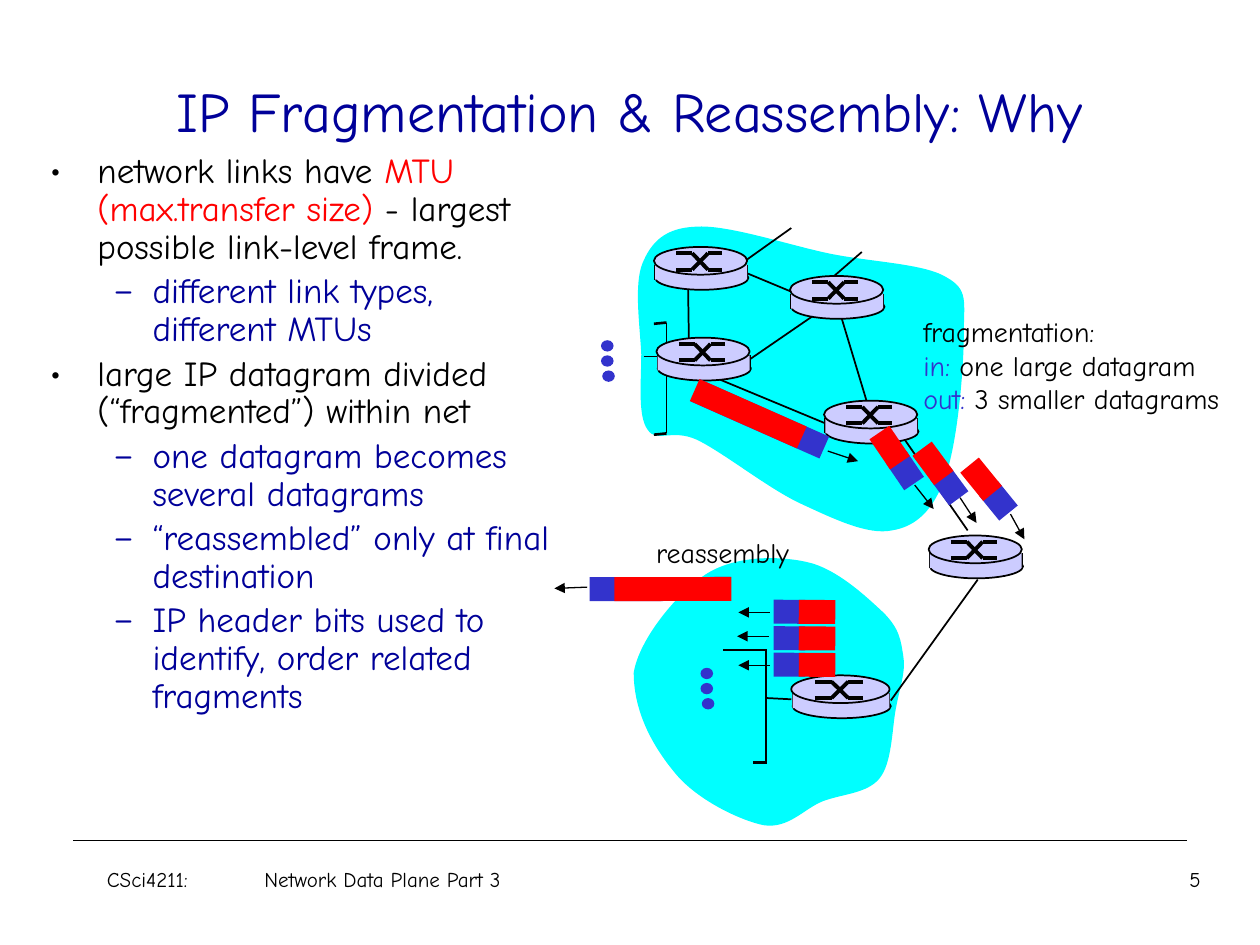
import math

from lxml import etree
from pptx import Presentation
from pptx import util as u
from pptx.dml.color import RGBColor
from pptx.enum import shapes, text
from pptx.oxml.ns import qn

BLACK, RED, NAVY, BLUE = "000000", "FF0000", "000099", "3333CC"
LILAC, CYAN = "CCCCFF", "00FFFF"
FONT = "Comic Neue"

UPPER_CLOUD = [
    (5.52, 1.8),
    (5.28, 1.81), (5.17, 1.92), (5.1, 2.09), (5.03, 2.26), (5.08, 2.59), (5.09, 2.81),
    (5.09, 3.03), (5.06, 3.3), (5.14, 3.41), (5.21, 3.52), (5.33, 3.4), (5.53, 3.49),
    (5.74, 3.59), (6.1, 3.88), (6.36, 4), (6.62, 4.12), (6.89, 4.25), (7.08, 4.21),
    (7.27, 4.18), (7.41, 4.05), (7.5, 3.79), (7.6, 3.53), (7.65, 2.92), (7.65, 2.66),
    (7.65, 2.39), (7.69, 2.3), (7.51, 2.2), (7.33, 2.09), (6.9, 2.08), (6.57, 2.01),
    (6.24, 1.94), (5.77, 1.78), (5.52, 1.8),
]
LOWER_CLOUD = [
    (5.03, 5.34),
    (5.07, 5.08), (5.37, 4.71), (5.6, 4.56), (5.83, 4.41), (6.17, 4.41), (6.4, 4.46),
    (6.64, 4.51), (6.88, 4.74), (7.01, 4.86), (7.14, 4.99), (7.15, 5.08), (7.17, 5.21),
    (7.19, 5.34), (7.14, 5.46), (7.11, 5.63), (7.08, 5.79), (7.08, 6.06), (6.98, 6.18),
    (6.88, 6.3), (6.69, 6.3), (6.53, 6.36), (6.38, 6.42), (6.26, 6.58), (6.06, 6.55),
    (5.87, 6.51), (5.54, 6.35), (5.37, 6.15), (5.2, 5.95), (5.03, 5.67), (5.03, 5.34),
]
LINKS = [
    (5.11, 2.83, 5.25, 2.83), (5.74, 2.09, 6.46, 2.39), (6.66, 2.46, 6.88, 3.19),
    (5.46, 2.21, 5.47, 2.85), (5.49, 2.92, 6.55, 3.36), (7.68, 4.21, 7.16, 3.46),
    (6.58, 2.42, 5.75, 2.99), (6.28, 1.81, 5.76, 2.18), (6.84, 2, 6.54, 2.26),
    (5.29, 2.56, 5.29, 3.44), (6.08, 5.16, 6.08, 6.05), (6.08, 5.54, 6.28, 5.55),
    (7.76, 4.6, 7.07, 5.56),
]
BRACKET_ENDS = [
    (5.19, 2.57, 5.29, 2.56), (5.19, 3.45, 5.29, 3.44),
    (5.74, 5.16, 6.09, 5.16), (5.98, 6.05, 6.09, 6.05),
]
ROUTERS = [
    (5.19, 1.96, 0.74), (5.21, 2.68, 0.74), (6.27, 2.19, 0.74),
    (6.54, 3.18, 0.74), (6.28, 5.36, 0.78), (7.37, 4.25, 0.74),
]
SMALL, LARGE = (0.25, 0.29, 0.22), (1.12, 0.93, 0.1)
DATAGRAMS = [
    (5.47, 3.23, 23.9, LARGE), (7.06, 3.64, 55.8, SMALL), (7.41, 3.76, 53.6, SMALL),
    (7.8, 3.88, 50.9, SMALL), (4.68, 4.58, 179.9, LARGE),
] + [(6.14, 4.76 + 0.21 * row, 180.4, SMALL) for row in range(3)]
ARROWS = [
    (6.57, 3.58, 6.81, 3.66), (7.26, 3.85, 7.41, 4.04), (7.62, 3.95, 7.75, 4.15),
    (8.02, 4.08, 8.13, 4.28), (6.11, 4.86, 5.86, 4.86), (6.1, 5.05, 5.85, 5.05),
    (6.11, 5.28, 5.86, 5.28), (4.66, 4.66, 4.4, 4.67),
]
BODY = [
    (0, [("network links have ", BLACK), ("MTU (max.transfer size)", RED),
         (" - largest possible link-level frame.", BLACK)]),
    (1, [("different link types, different MTUs", NAVY)]),
    (0, [("large IP datagram divided (“fragmented”) within net", BLACK)]),
    (1, [("one datagram becomes several datagrams", NAVY)]),
    (1, [("“reassembled” only at final destination", NAVY)]),
    (1, [("IP header bits used to identify, order related fragments", NAVY)]),
]


def length(inches):
    return u.Cm(inches * 2.54)


def color(value):
    return RGBColor.from_string(value)


def apply(target, values):
    for name, value in values.items():
        setattr(target, name, value)


def add_line(parts, ends, width=1, arrow=False):
    line = parts.add_connector(shapes.MSO_CONNECTOR.STRAIGHT, *map(length, ends))
    line.line.width = u.Pt(width)
    line.line.color.rgb = color(BLACK)
    if arrow:
        etree.SubElement(line.line._get_or_add_ln(), qn("a:tailEnd"), type="triangle")
    etree.SubElement(line._element.spPr, qn("a:effectLst"))


def paint(shape, fill, outlined=False):
    shape.shadow.inherit = False
    shape.fill.solid()
    shape.fill.fore_color.rgb = color(fill)
    if outlined:
        shape.line.color.rgb = color(BLACK)
        shape.line.width = u.Pt(1)
    else:
        shape.line.fill.background()


def add_preset(parts, kind, place, fill, outlined=False, angle=0):
    shape = parts.add_shape(kind, *map(length, place))
    shape.rotation = angle
    paint(shape, fill, outlined)


def add_cloud(parts, nodes):
    builder = parts.build_freeform(*map(length, nodes[0]))
    builder.add_line_segments([tuple(map(length, node)) for node in nodes[1:]])
    cloud = builder.convert_to_shape()
    paint(cloud, CYAN)
    outline = cloud._element.find(".//" + qn("a:path"))
    segments = outline.findall(qn("a:lnTo"))
    for start in range(0, len(segments), 3):
        curve = etree.Element(qn("a:cubicBezTo"))
        segments[start].addprevious(curve)
        for segment in segments[start:start + 3]:
            curve.append(segment[0])
            outline.remove(segment)


def add_router(parts, left, top, width):
    group = parts.add_group_shape().shapes
    oval, block = shapes.MSO_SHAPE.OVAL, shapes.MSO_SHAPE.RECTANGLE
    add_preset(group, oval, (left + 0.01, top + 0.15, width, 0.19), LILAC, True)
    for side in (left + 0.01, left + width):
        add_line(group, (side, top + 0.14, side, top + 0.26))
    add_preset(group, block, (left + 0.01, top + 0.14, width - 0.01, 0.12), LILAC)
    add_preset(group, oval, (left, top, width, 0.22), LILAC, True)
    a, b, c, d = (left + width * part for part in (0.24, 0.41, 0.58, 0.73))
    high, low = top + 0.05, top + 0.18
    for start, end in ((high, low), (low, high)):
        for ends in ((a, start, b, start), (b, start, c, end), (c, end, d, end)):
            add_line(group, ends, 2.25)


def add_dots(parts, left, top):
    for row in range(3):
        add_preset(parts, shapes.MSO_SHAPE.OVAL,
                   (left + 0.01 * (row // 2), top + 0.12 * row, 0.1, 0.09), BLUE)


def add_datagram(parts, left, top, angle, sizes):
    header, data, gap = sizes
    group = parts.add_group_shape().shapes
    turn = math.radians(angle)
    for width, shift, fill in ((header, 0, BLUE), (data, gap, RED)):
        place = (left + (header - width) / 2 - shift * math.cos(turn),
                 top - shift * math.sin(turn), width, 0.19)
        add_preset(group, shapes.MSO_SHAPE.RECTANGLE, place, fill, angle=angle)


def add_text(parts, place, paragraphs, size, align=text.PP_ALIGN.LEFT,
             anchor=text.MSO_ANCHOR.TOP):
    frame = parts.add_textbox(*map(length, place)).text_frame
    apply(frame, {"word_wrap": True, "vertical_anchor": anchor})
    for index, spans in enumerate(paragraphs):
        para = frame.paragraphs[0] if index == 0 else frame.add_paragraph()
        para.alignment = align
        for words, ink in spans:
            span = para.add_run()
            span.text = words
            apply(span.font, {"name": FONT, "size": u.Pt(size)})
            span.font.color.rgb = color(ink)
    return frame


def add_bullets(parts, place, items):
    frame = add_text(parts, place, [spans for _, spans in items], 20)
    for index, (para, (level, _)) in enumerate(zip(frame.paragraphs, items)):
        mark, margin, hang = (("•", 3 / 8, 3 / 8), ("–", 13 / 16, 5 / 16))[level]
        props = para._p.get_or_add_pPr()
        props.set("marL", str(length(margin)))
        props.set("indent", str(-length(hang)))
        etree.SubElement(props, qn("a:buFont"), typeface=FONT)
        etree.SubElement(props, qn("a:buChar"), char=mark)
        apply(para, {"level": level, "line_spacing": 0.9,
                     "space_before": u.Pt(3.8 if index else 0)})
        apply(para.font, {"name": FONT, "size": u.Pt(20)})


def add_footer(parts):
    add_line(parts, (0.58, 6.67, 9.42, 6.67), 0.75)
    footer = add_text(parts, (0.75, 6.83, 3.92, 0.33),
                      [[("CSci4211:\tNetwork Data Plane Part 3", BLACK)]], 12)
    tabs = etree.SubElement(footer.paragraphs[0]._p.get_or_add_pPr(), qn("a:tabLst"))
    etree.SubElement(tabs, qn("a:tab"), pos=str(length(1.25)), algn="l")
    add_text(parts, (8.97, 6.83, 1.03, 0.5), [[("5", BLACK)]], 12,
             text.PP_ALIGN.CENTER)


def main():
    deck = Presentation()
    apply(deck, {"slide_width": length(10), "slide_height": length(7.5)})
    parts = deck.slides.add_slide(deck.slide_layouts[6]).shapes
    add_text(parts, (0.75, 0.25, 8.5, 1.25),
             [[("IP Fragmentation & Reassembly: Why", NAVY)]], 32,
             text.PP_ALIGN.CENTER, text.MSO_ANCHOR.MIDDLE)
    add_bullets(parts, (0.3, 1.17, 4.17, 5.08), BODY)
    for nodes in (UPPER_CLOUD, LOWER_CLOUD):
        add_cloud(parts, nodes)
    for ends in LINKS:
        add_line(parts, ends)
    for ends in BRACKET_ENDS:
        add_line(parts, ends, 1.5)
    for corner in ((4.77, 2.7), (5.56, 5.3)):
        add_dots(parts, *corner)
    for router in ROUTERS:
        add_router(parts, *router)
    for datagram in DATAGRAMS:
        add_datagram(parts, *datagram)
    for ends in ARROWS:
        add_line(parts, ends, 0.75, True)
    add_text(parts, (7.23, 2.45, 2.77, 0.9), [
        [("fragmentation:", BLACK)],
        [("in:", BLUE), (" one large datagram", BLACK)],
        [("out:", BLUE), (" 3 smaller datagrams", BLACK)],
    ], 16)
    add_text(parts, (5.11, 4.2, 1.36, 0.37), [[("reassembly", BLACK)]], 16)
    add_footer(parts)
    deck.save("out.pptx")


if __name__ == "__main__":
    main()
